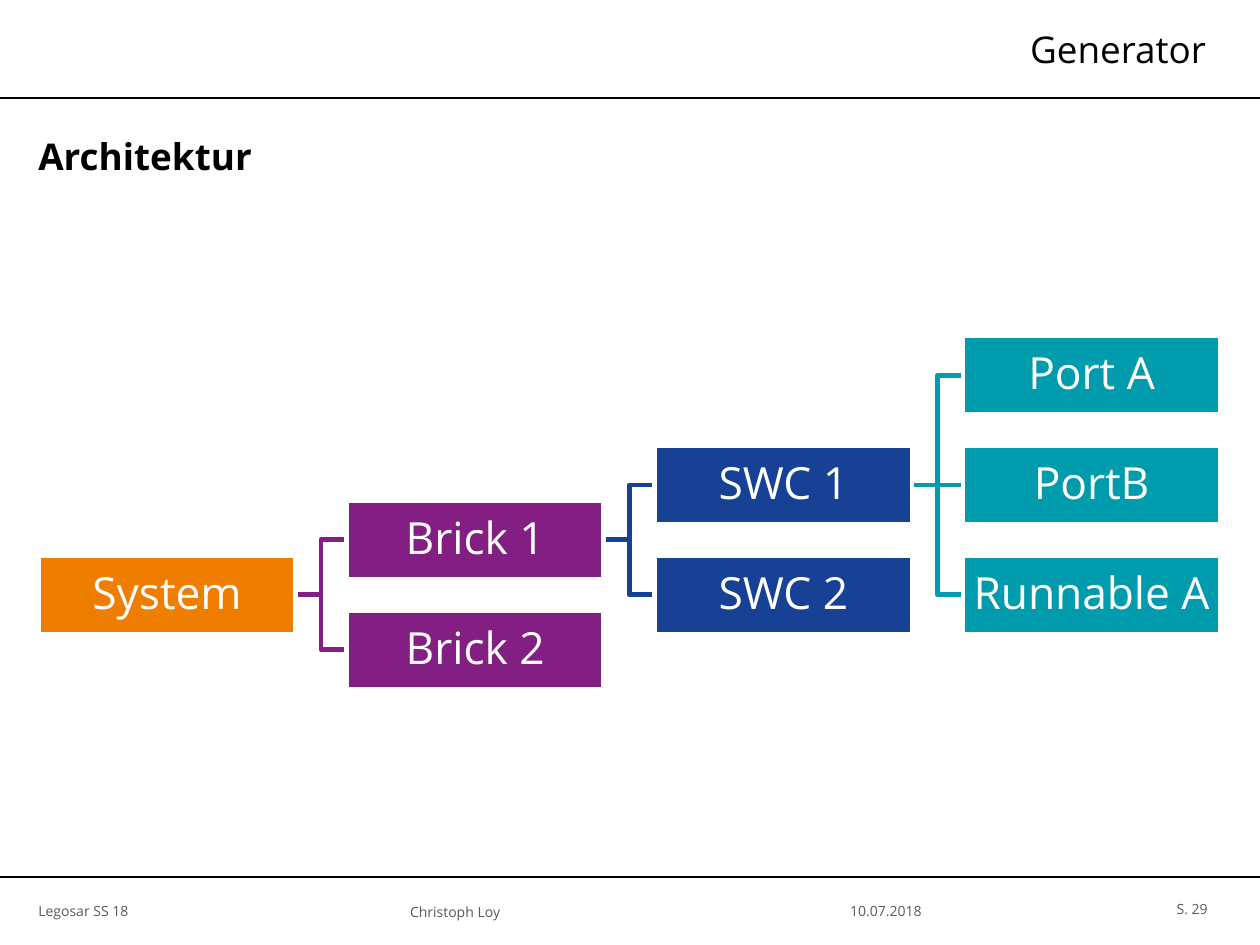
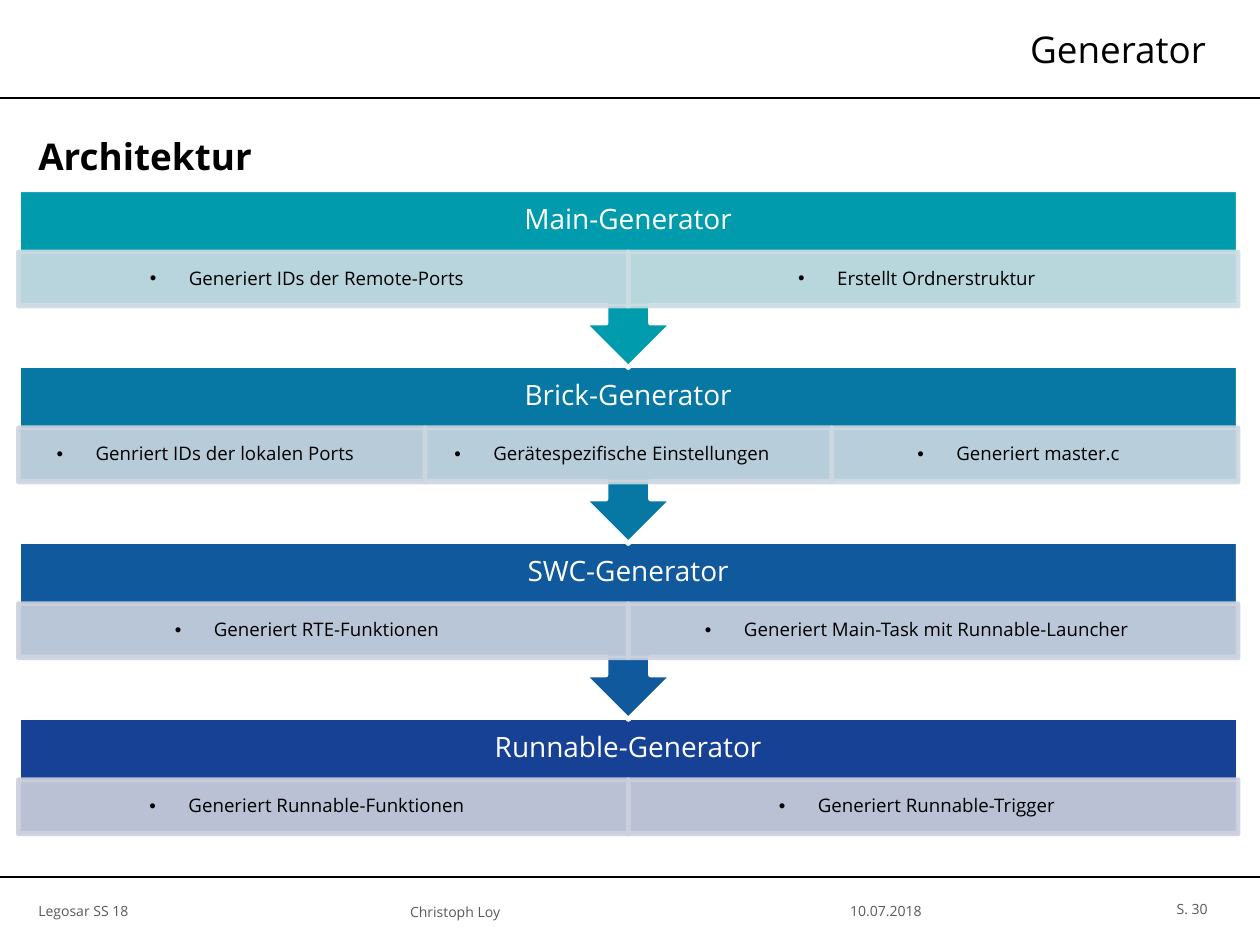
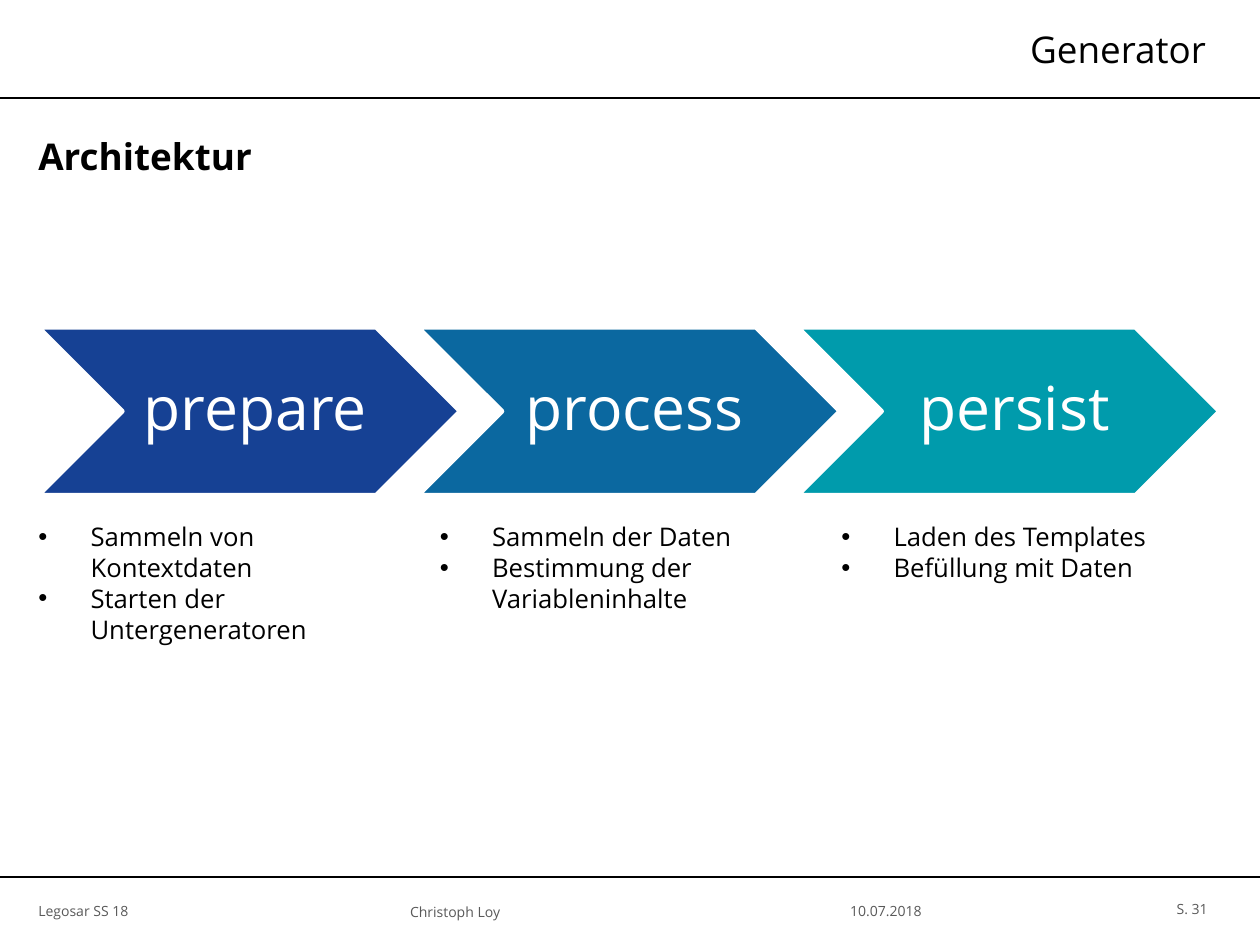
from lxml.etree import SubElement
from pptx import Presentation
from pptx.dml.color import RGBColor
from pptx.enum.shapes import MSO_CONNECTOR as Link, MSO_SHAPE as Preset
from pptx.enum.text import MSO_ANCHOR as Anchor, PP_ALIGN as Align
from pptx.oxml.ns import qn
from pptx.util import Cm, Pt

# Shared style
FONT = "Open Sans"
COLORS = {
    "black": "000000", "white": "FFFFFF", "grey": "595959",
    "orange": "EF7D00", "purple": "831F82", "navy": "164194",
    "blue": "0F599C", "azure": "0B68A0", "ocean": "0777A4", "teal": "009BAC",
}
WIDTH, HEIGHT = 19.05, 14.29
MARGIN = 0.58
RULES = (1.48, 13.26)
TITLE, SUBTITLE = "Generator", "Architektur"
FIRST_NUMBER = 29
SMALL_INSETS = (0.18, 0.1, 0.18, 0.1)
FLUSH_INSETS = (0, 0.1, 0.18, 0.1)

# Footer: text, left, top, width, alignment, insets
FOOTER = [
    ("10.07.2018", 9.98, 13.26, 6.83, Align.CENTER, SMALL_INSETS),
    ("Legosar SS 18", MARGIN, 13.26, 9.4, Align.LEFT, FLUSH_INSETS),
    ("S. {number}", 16.79, 13.24, 1.65, Align.RIGHT, SMALL_INSETS),
    ("Christoph Loy", 6.2, 13.28, 4.34, Align.LEFT, FLUSH_INSETS),
]

# Tree: name, parent, column, row in half steps
TREE = [
    ("System", None, 0, 4),
    ("Brick 1", "System", 1, 3),
    ("Brick 2", "System", 1, 5),
    ("SWC 1", "Brick 1", 2, 2),
    ("SWC 2", "Brick 1", 2, 4),
    ("Port A", "SWC 1", 3, 0),
    ("PortB", "SWC 1", 3, 2),
    ("Runnable A", "SWC 1", 3, 4),
]
TREE_COLORS = ["orange", "purple", "navy", "teal"]

# Generators: name, colour, tasks with their tints
GENERATORS = [
    ("Main-Generator", "teal", [
        ("Generiert IDs der Remote-Ports", "CCDBE2"),
        ("Erstellt Ordnerstruktur", "CCDEE3")]),
    ("Brick-Generator", "ocean", [
        ("Genriert IDs der lokalen Ports", "CCD5DF"),
        ("Gerätespezifische Einstellungen", "CCD7E0"),
        ("Generiert master.c", "CCD9E1")]),
    ("SWC-Generator", "blue", [
        ("Generiert RTE-Funktionen", "CCD2DE"),
        ("Generiert Main-Task mit Runnable-Launcher", "CCD3DF")]),
    ("Runnable-Generator", "navy", [
        ("Generiert Runnable-Funktionen", "CCCFDC"),
        ("Generiert Runnable-Trigger", "CCD0DD")]),
]

# Phases: name, colour, steps
PHASES = [
    ("prepare", "navy", ["Sammeln von Kontextdaten", "Starten der Untergeneratoren"]),
    ("process", "azure", ["Sammeln der Daten", "Bestimmung der Variableninhalte"]),
    ("persist", "teal", ["Laden des Templates", "Befüllung mit Daten"]),
]


def rgb(color):
    return RGBColor.from_string(COLORS.get(color, color))


def write(shape, lines, size, color="black", align=Align.LEFT, insets=SMALL_INSETS,
          anchor=Anchor.MIDDLE, bold=False, spacing=None, hanging=None):
    """Fill a shape with paragraphs; hanging is the bullet indent in cm."""
    frame = shape.text_frame
    frame.word_wrap = True
    frame.vertical_anchor = anchor
    (frame.margin_left, frame.margin_top,
     frame.margin_right, frame.margin_bottom) = map(Cm, insets)
    for index, line in enumerate(lines):
        para = frame.paragraphs[0] if index == 0 else frame.add_paragraph()
        para.text = line
        if hanging:
            props = para._p.get_or_add_pPr()
            props.set("marL", str(Cm(hanging)))
            props.set("indent", str(-Cm(hanging)))
            SubElement(props, qn("a:buFont"), typeface="Arial")
            SubElement(props, qn("a:buChar"), char="•")
        para.alignment = align
        if spacing:
            para.line_spacing = spacing
        font = para.font
        font.name, font.size, font.bold = FONT, Pt(size), bold
        font.color.rgb = rgb(color)


def add_text(page, left, top, width, height, lines, size, **style):
    box = page.shapes.add_textbox(Cm(left), Cm(top), Cm(width), Cm(height))
    write(box, lines, size, **style)


def add_block(page, preset, left, top, width, height, fill, line="white", alpha=None):
    block = page.shapes.add_shape(preset, Cm(left), Cm(top), Cm(width), Cm(height))
    block.shadow.inherit = False
    block.fill.solid()
    block.fill.fore_color.rgb = rgb(fill)
    block.line.color.rgb = rgb(line)
    block.line.width = Pt(2)
    if alpha:
        for paint in block._element.spPr.iter(qn("a:srgbClr")):
            SubElement(paint, qn("a:alpha"), val=str(alpha * 1000))
    return block


def add_line(page, kind, color, weight, start=(0, 0), end=(0, 0)):
    line = page.shapes.add_connector(kind, *map(Cm, start + end))
    line.line.color.rgb = rgb(color)
    line.line.width = Pt(weight)
    SubElement(line._element.spPr, qn("a:effectLst"))
    return line


def add_page(deck, number):
    """Blank page with the shared rules, titles and footer."""
    page = deck.slides.add_slide(deck.slide_layouts[6])
    for y in RULES:
        add_line(page, Link.STRAIGHT, "black", 1, (0, y), (WIDTH, y))
    for text, left, top, width, align, insets in FOOTER:
        add_text(page, left, top, width, 1.02, [text.format(number=number)], 6,
                 color="grey", align=align, insets=insets)
    add_text(page, MARGIN, 1.67, 17.86, 1.37, [SUBTITLE], 15.8, bold=True,
             insets=(0, 0.1, 0, 0.1))
    add_text(page, 5.61, 0.3, 12.81, 0.89, [TITLE], 15.8, align=Align.RIGHT,
             insets=FLUSH_INSETS)
    return page


def draw_tree(page):
    top, column_step, half_row = 5.08, 4.66, 0.83
    rows = {name: row for name, _, _, row in TREE}
    # Links come first so that the white box outlines cover their ends
    links = []
    for name, parent, column, row in TREE:
        if parent:
            kind = Link.STRAIGHT if rows[parent] == row else Link.ELBOW
            links.append((add_line(page, kind, TREE_COLORS[column], 2), parent, name))
    boxes = {}
    for name, _, column, row in TREE:
        boxes[name] = box = add_block(
            page, Preset.RECTANGLE, MARGIN + column * column_step,
            top + row * half_row, 3.89, 1.19, TREE_COLORS[column])
        write(box, [name], 19, "white", Align.CENTER, (0.03,) * 4, spacing=0.9)
    for link, parent, child in links:
        link.begin_connect(boxes[parent], 3)
        link.end_connect(boxes[child], 1)


def draw_generators(page):
    left, top, width, step = 0.28, 2.87, 18.44, 2.66
    body, callout = 1.75, 2.69
    last = len(GENERATORS) - 1
    # Bottom up, so that each arrow lies over the next band
    for index in range(last, -1, -1):
        name, color, tasks = GENERATORS[index]
        y = top + index * step
        preset, height = ((Preset.RECTANGLE, body) if index == last
                          else (Preset.DOWN_ARROW_CALLOUT, callout))
        band = add_block(page, preset, left, y, width, height, color)
        write(band, [name], 12, "white", Align.CENTER, (0.23, 0, 0.23, 0.81), spacing=0.9)
        cell_width = width / len(tasks)
        for column, (task, tint) in enumerate(tasks):
            cell = add_block(page, Preset.RECTANGLE, left + column * cell_width, y + 0.94,
                             cell_width, 0.82, tint, tint, alpha=90)
            write(cell, [task], 8, align=Align.CENTER, insets=(0.15, 0.03, 0.64, 0.03),
                  spacing=0.9, hanging=0.59)


def draw_phases(page):
    for index, (name, color, steps) in enumerate(PHASES):
        arrow = add_block(page, Preset.CHEVRON, MARGIN + index * 5.74, 4.95,
                          6.38, 2.54, color)
        write(arrow, [name], 26, "white", Align.CENTER, (0.28, 0.1, 0.1, 0.1), spacing=0.9)
        add_text(page, 0.33 + index * 6.07, 7.75, 5.31, 2.62, steps, 11,
                 insets=(0.25, 0.13, 0.25, 0.13), anchor=Anchor.TOP, hanging=0.79)


def main():
    deck = Presentation()
    deck.slide_width, deck.slide_height = Cm(WIDTH), Cm(HEIGHT)
    for number, draw in enumerate((draw_tree, draw_generators, draw_phases), FIRST_NUMBER):
        draw(add_page(deck, number))
    deck.save("out.pptx")


if __name__ == "__main__":
    main()
